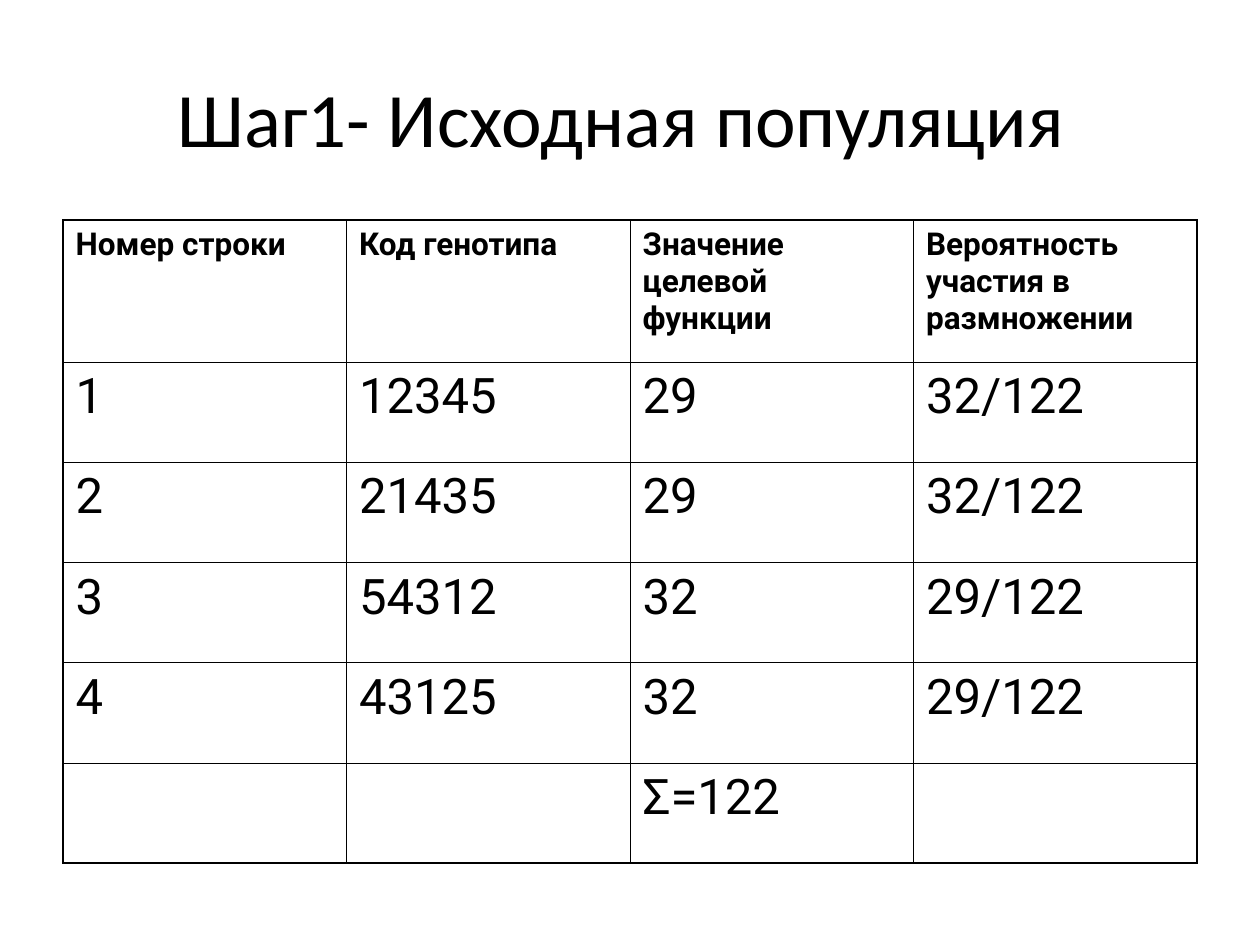
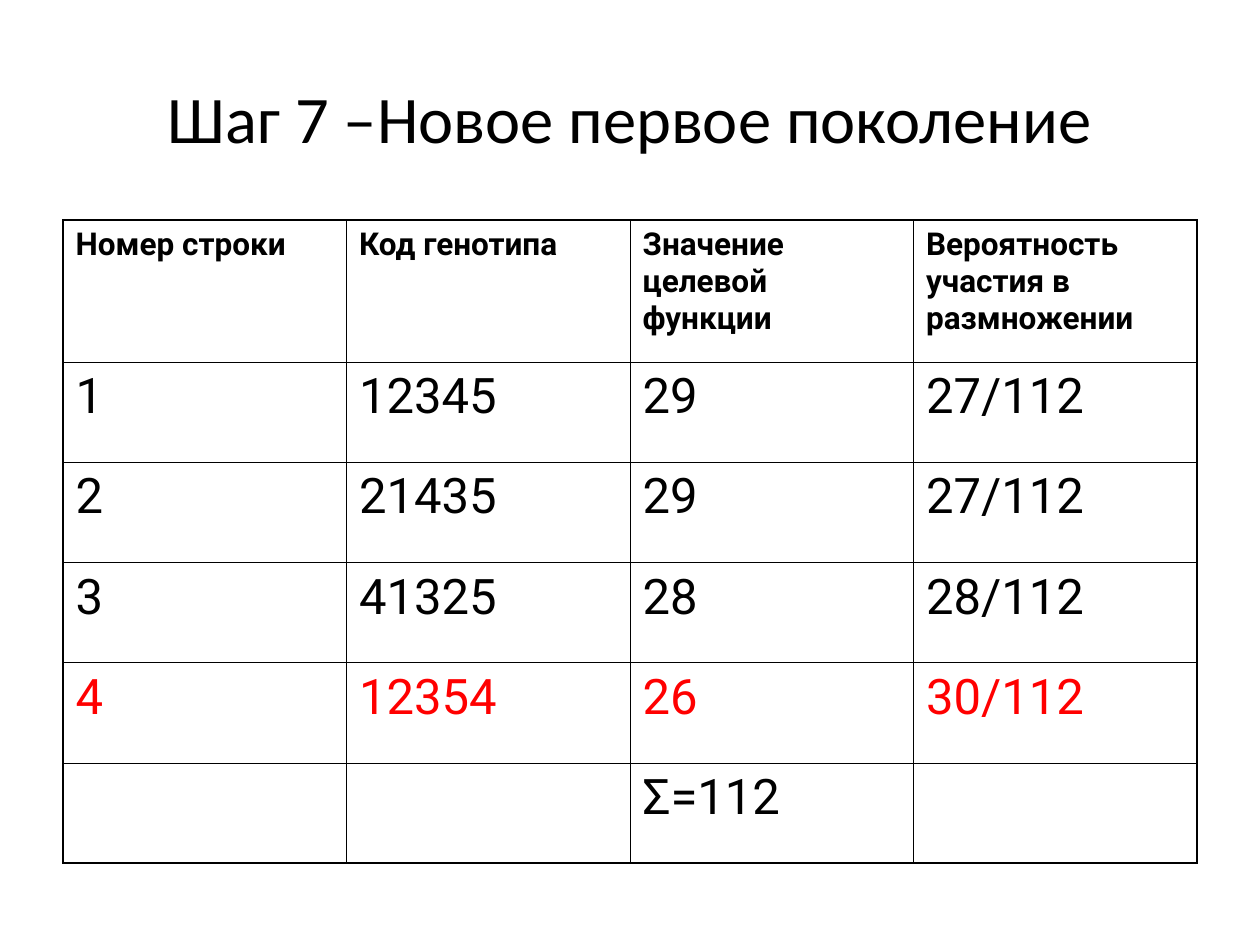
from lxml.etree import SubElement
from pptx import Presentation
from pptx.dml.color import RGBColor
from pptx.enum.text import MSO_ANCHOR, MSO_AUTO_SIZE, PP_ALIGN
from pptx.oxml.ns import qn
from pptx.util import Cm, Pt

COLORS = {"text": "000000", "border": "000000", "new": "FF0000"}
TITLE_FONT, TABLE_FONT = "Calibri", "Roboto"
LEFT, WIDTH = Cm(1.27), Cm(22.86)
HEADER_HEIGHT, ROW_HEIGHT = Cm(2.86), Cm(2.02)
OUTER_LINE, INNER_LINE = Pt(1.08), Pt(0.45)
HEADERS = ["Номер строки", "Код генотипа", "Значение целевой функции",
           "Вероятность участия в размножении"]

GENERATIONS = [
    {"title": "Шаг1- Исходная популяция ", "title_size": 44, "new_row": None,
     "rows": [["1", "12345", "29", "32/122"],
              ["2", "21435", "29", "32/122"],
              ["3", "54312", "32", "29/122"],
              ["4", "43125", "32", "29/122"],
              ["", "", "Σ=122", ""]]},
    {"title": "Шаг 7 –Новое первое поколение", "title_size": 38, "new_row": 4,
     "rows": [["1", "12345", "29", "27/112"],
              ["2", "21435", "29", "27/112"],
              ["3", "41325", "28", "28/112"],
              ["4", "12354", "26", "30/112"],
              ["", "", "Σ=112", ""]]},
]


def style_font(font, name, size, color, bold=False):
    font.name, font.size, font.bold = name, Pt(size), bold
    font.color.rgb = RGBColor.from_string(COLORS[color])


def set_borders(cell, outer_sides):
    """Line all four sides, heavier on the sides at the table's edge."""
    properties = cell._tc.get_or_add_tcPr()
    for side in "LRTB":
        width = OUTER_LINE if side in outer_sides else INNER_LINE
        line = SubElement(properties, qn(f"a:ln{side}"), w=str(int(width)))
        fill = SubElement(line, qn("a:solidFill"))
        SubElement(fill, qn("a:srgbClr"), val=COLORS["border"])


presentation = Presentation()
presentation.slide_width, presentation.slide_height = Cm(25.4), Cm(19.05)
title_only = presentation.slide_layouts[5]

for generation in GENERATIONS:
    slide = presentation.slides.add_slide(title_only)

    title = slide.shapes.title
    title.left, title.top, title.width, title.height = LEFT, Cm(0.76), WIDTH, Cm(3.18)
    title.text_frame.text = generation["title"]
    title.text_frame.auto_size = MSO_AUTO_SIZE.NONE
    title.text_frame.vertical_anchor = MSO_ANCHOR.MIDDLE
    paragraph = title.text_frame.paragraphs[0]
    paragraph.alignment = PP_ALIGN.CENTER
    style_font(paragraph.font, TITLE_FONT, generation["title_size"], "text")

    rows = [HEADERS] + generation["rows"]
    last_row, last_column = len(rows) - 1, len(HEADERS) - 1
    table = slide.shapes.add_table(
        len(rows), len(HEADERS), LEFT, Cm(4.44), WIDTH,
        HEADER_HEIGHT + last_row * ROW_HEIGHT).table
    table.first_row = table.horz_banding = False

    for row_index, row in enumerate(rows):
        is_header = row_index == 0
        table.rows[row_index].height = HEADER_HEIGHT if is_header else ROW_HEIGHT
        color = "new" if row_index == generation["new_row"] else "text"
        for column_index, text in enumerate(row):
            cell = table.cell(row_index, column_index)
            edges = {"T": is_header, "B": row_index == last_row,
                     "L": column_index == 0, "R": column_index == last_column}
            set_borders(cell, [side for side, at_edge in edges.items() if at_edge])
            cell.fill.background()
            cell.text = text
            style_font(cell.text_frame.paragraphs[0].font, TABLE_FONT,
                       18 if is_header else 28, color, bold=is_header)

presentation.save("out.pptx")
